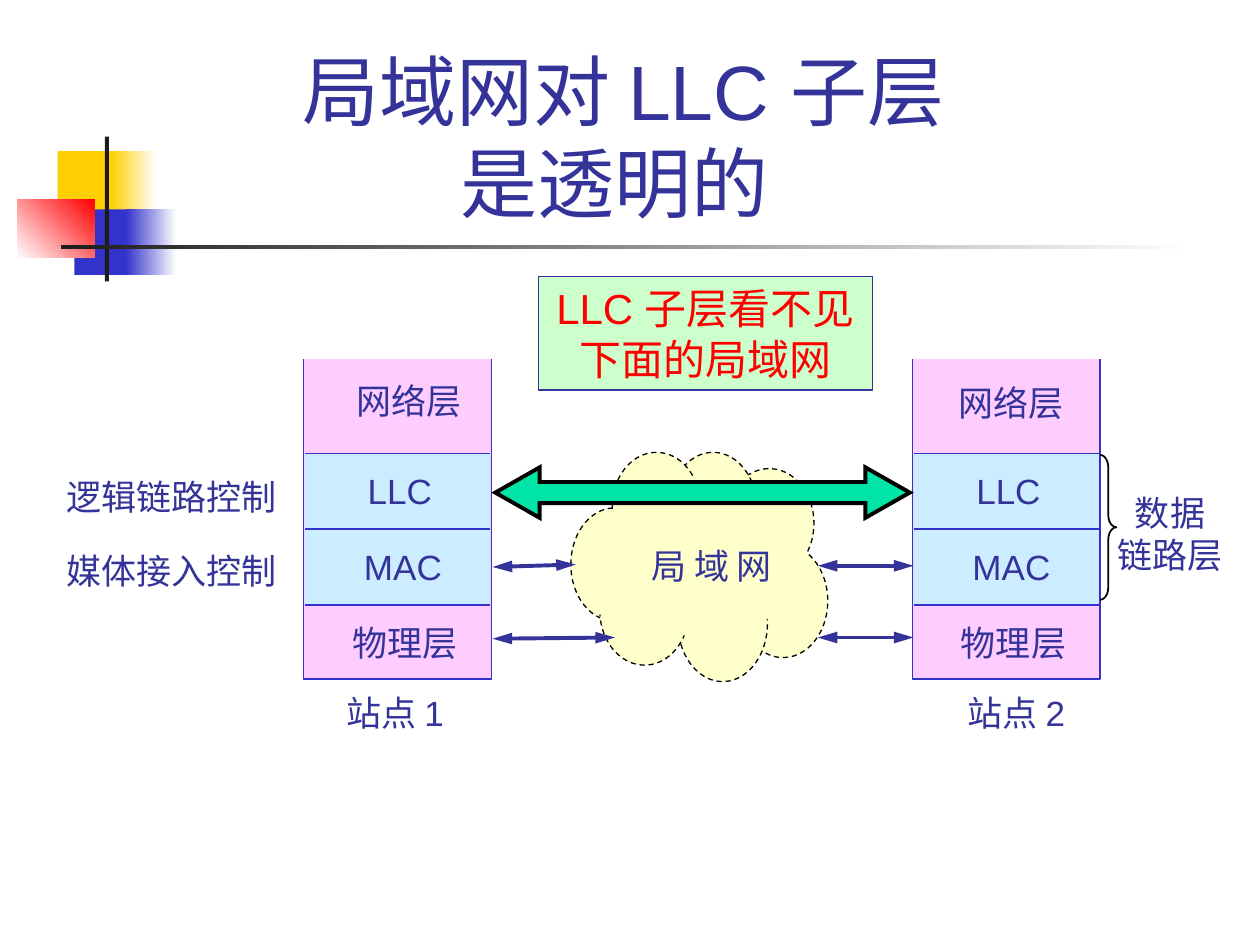
from lxml import etree
from pptx import Presentation
from pptx.dml.color import RGBColor
from pptx.enum.dml import MSO_LINE
from pptx.enum.shapes import MSO_CONNECTOR, MSO_SHAPE
from pptx.enum.text import MSO_ANCHOR, MSO_AUTO_SIZE, PP_ALIGN
from pptx.oxml.ns import qn
from pptx.util import Pt

INDIGO = RGBColor(0x33, 0x33, 0x99)
BLUE = RGBColor(0x33, 0x33, 0xCC)
YELLOW = RGBColor(0xFF, 0xCF, 0x01)
RED = RGBColor(0xFF, 0, 0)
CHARCOAL = RGBColor(0x1C, 0x1C, 0x1C)
BLACK = RGBColor(0, 0, 0)
WHITE = RGBColor(0xFF, 0xFF, 0xFF)
PINK = RGBColor(0xFF, 0xCC, 0xFF)
PALE_BLUE = RGBColor(0xCC, 0xEC, 0xFF)
PALE_YELLOW = RGBColor(0xFF, 0xFF, 0xCC)
PALE_GREEN = RGBColor(0xCC, 0xFF, 0xCC)
GREEN = RGBColor(0, 0xE4, 0xA8)

presentation = Presentation()
presentation.slide_width = Pt(720)
presentation.slide_height = Pt(540)
slide = presentation.slides.add_slide(presentation.slide_layouts[5])
shapes = slide.shapes


def paint(shape, fill=None, line=None, width=0.75):
    """Give a shape a plain fill and outline, without shadow; None means no paint."""
    shape.shadow.inherit = False
    if fill is None:
        shape.fill.background()
    else:
        shape.fill.solid()
        shape.fill.fore_color.rgb = fill
    if line is None:
        shape.line.fill.background()
    else:
        shape.line.color.rgb = line
        shape.line.width = Pt(width)


def write(shape, *lines, size=20, color=INDIGO, align=PP_ALIGN.LEFT,
          anchor=MSO_ANCHOR.TOP, wrap=False, fit=MSO_AUTO_SIZE.SHAPE_TO_FIT_TEXT):
    """Write one paragraph per line; a newline inside one is a line break."""
    frame = shape.text_frame
    frame.word_wrap = wrap
    frame.auto_size = fit
    frame.vertical_anchor = anchor
    for index, line in enumerate(lines):
        paragraph = frame.add_paragraph() if index else frame.paragraphs[0]
        paragraph.text = line
        paragraph.alignment = align
        for run in paragraph.runs:
            run.font.name = "Arial"
            run.font.size = Pt(size)
            run.font.color.rgb = color


# Corner decoration: solid or fading rectangles
decoration = [
    (33, 86.4, 34.6, 37.4, YELLOW, None, 0),
    (63.4, 86.4, 25.9, 37.4, YELLOW, WHITE, 0),
    (42.5, 119.7, 33.1, 37.4, BLUE, None, 0),
    (72, 119.7, 28.8, 37.4, BLUE, WHITE, 0),
    (9.9, 113.8, 44, 33.4, WHITE, RED, 45),
    (59.9, 78, 2.3, 82.8, CHARCOAL, None, 0),
    (34.7, 140, 648, 2.5, CHARCOAL, WHITE, 0),
]
for left, top, width, height, start, end, angle in decoration:
    shape = shapes.add_shape(MSO_SHAPE.RECTANGLE, Pt(left), Pt(top), Pt(width), Pt(height))
    paint(shape, start)
    if end is not None:
        shape.fill.gradient()
        shape.fill.gradient_angle = angle
        for stop, color in zip(shape.fill.gradient_stops, (start, end)):
            stop.color.rgb = color

title = shapes.title
title.left, title.top, title.width, title.height = Pt(86.4), Pt(73.4), Pt(540), Pt(60.5)
write(title, "局域网对 LLC 子层\n是透明的 ", size=44, align=PP_ALIGN.CENTER,
      anchor=MSO_ANCHOR.BOTTOM, wrap=True, fit=MSO_AUTO_SIZE.NONE)

# Protocol stacks of both stations, open at the top
connectors = []
for left in (173.5, 521.3):
    right, top, bottom = left + 107.3, 205.2, 388.1
    builder = shapes.build_freeform(Pt(left), Pt(top))
    builder.add_line_segments(
        [(Pt(left), Pt(bottom)), (Pt(right), Pt(bottom)), (Pt(right), Pt(top))], close=False)
    paint(builder.convert_to_shape(), PINK, BLUE)
    data_link = shapes.add_shape(
        MSO_SHAPE.RECTANGLE, Pt(left + 0.7), Pt(259), Pt(105.8), Pt(86.4))
    paint(data_link, PALE_BLUE)
    for row in range(3):
        y = 259.2 + 43.2 * row
        connectors.append((left + 0.7, y, left + 106.5, y, BLUE, 1, False))

# Cloud: dashed lobes behind a plain core
lobes = [
    (421.9, 311, 51.1, 64.8), (326.2, 290.2, 50.4, 64.8), (414, 267.8, 51.1, 62.6),
    (387.4, 323.3, 51.1, 66.2), (342.7, 317.5, 51.1, 62.6), (382.3, 258.5, 50.4, 64.8),
    (349.9, 258.5, 50.4, 61.9),
]
for left, top, width, height in lobes:
    lobe = shapes.add_shape(MSO_SHAPE.OVAL, Pt(left), Pt(top), Pt(width), Pt(height))
    paint(lobe, PALE_YELLOW, BLACK)
    lobe.line.dash_style = MSO_LINE.DASH
core = shapes.add_shape(MSO_SHAPE.OVAL, Pt(339.1), Pt(273.6), Pt(122.4), Pt(90))
paint(core, PALE_YELLOW)
builder = shapes.build_freeform(Pt(344.2), Pt(334.1))
builder.add_line_segments([(Pt(x), Pt(y)) for x, y in (
    (345.6, 335.5), (347, 337), (346.3, 344), (344.2, 350.6), (342.7, 351.4),
    (340.3, 349), (342, 344), (342.5, 338))])
paint(builder.convert_to_shape(), PALE_YELLOW)

# Layer borders and the double-headed links to the cloud
connectors += [
    (281.5, 365, 351.4, 364.3, INDIGO, 2.25, True),
    (522, 364.3, 467.3, 364.3, INDIGO, 2.25, True),
    (281.5, 324, 329, 322.6, INDIGO, 2.25, True),
    (522, 323.3, 467.3, 323.3, INDIGO, 2.25, True),
]
for x1, y1, x2, y2, color, width, arrows in connectors:
    connector = shapes.add_connector(MSO_CONNECTOR.STRAIGHT, Pt(x1), Pt(y1), Pt(x2), Pt(y2))
    connector.line.color.rgb = color
    connector.line.width = Pt(width)
    if arrows:
        outline = connector.line._get_or_add_ln()
        for end in ("a:headEnd", "a:tailEnd"):
            etree.SubElement(outline, qn(end), type="triangle", w="med", len="lg")
    etree.SubElement(connector._element.spPr, qn("a:effectLst"))

llc_arrow = shapes.add_shape(
    MSO_SHAPE.LEFT_RIGHT_ARROW, Pt(283), Pt(267.1), Pt(236.9), Pt(28.8))
llc_arrow.adjustments[0] = 0.42
llc_arrow.adjustments[1] = 0.88
paint(llc_arrow, GREEN, BLACK, 2.25)
etree.SubElement(llc_arrow.line._get_or_add_ln(), qn("a:miter"), lim="800000")

brace = shapes.add_shape(MSO_SHAPE.RIGHT_BRACE, Pt(628.6), Pt(259.9), Pt(9.4), Pt(82.8))
brace.adjustments[0] = 0.75
paint(brace, line=BLACK, width=1)

labels = [
    ("网络层", 196.4, 213.1, 76), ("网络层", 540.7, 214.6, 76),
    ("LLC", 203, 265, 51.1), ("LLC", 550.8, 265, 51.1),
    ("MAC", 200.9, 308.2, 59), ("MAC", 548.6, 308.2, 59),
    ("物理层", 194.2, 351.4, 76), ("物理层", 542, 351.4, 76),
    ("站点 1", 190.8, 391.7, 76), ("站点 2", 545.8, 391.7, 76),
    ("逻辑链路控制", 31, 268.2, 136), ("媒体接入控制", 31, 310.3, 136),
    ("局 域 网", 365, 307.4, 85),
]
for text, left, top, width in labels:
    write(shapes.add_textbox(Pt(left), Pt(top), Pt(width), Pt(31)), text)
write(shapes.add_textbox(Pt(630.6), Pt(277.2), Pt(76), Pt(54.7)),
      "数据", "链路层", align=PP_ALIGN.CENTER)

callout = shapes.add_shape(MSO_SHAPE.RECTANGLE, Pt(307.8), Pt(158.1), Pt(190.8), Pt(64.8))
paint(callout, PALE_GREEN, INDIGO)
write(callout, "LLC 子层看不见", "下面的局域网", size=24, color=RED, align=PP_ALIGN.CENTER)

presentation.save("out.pptx")
